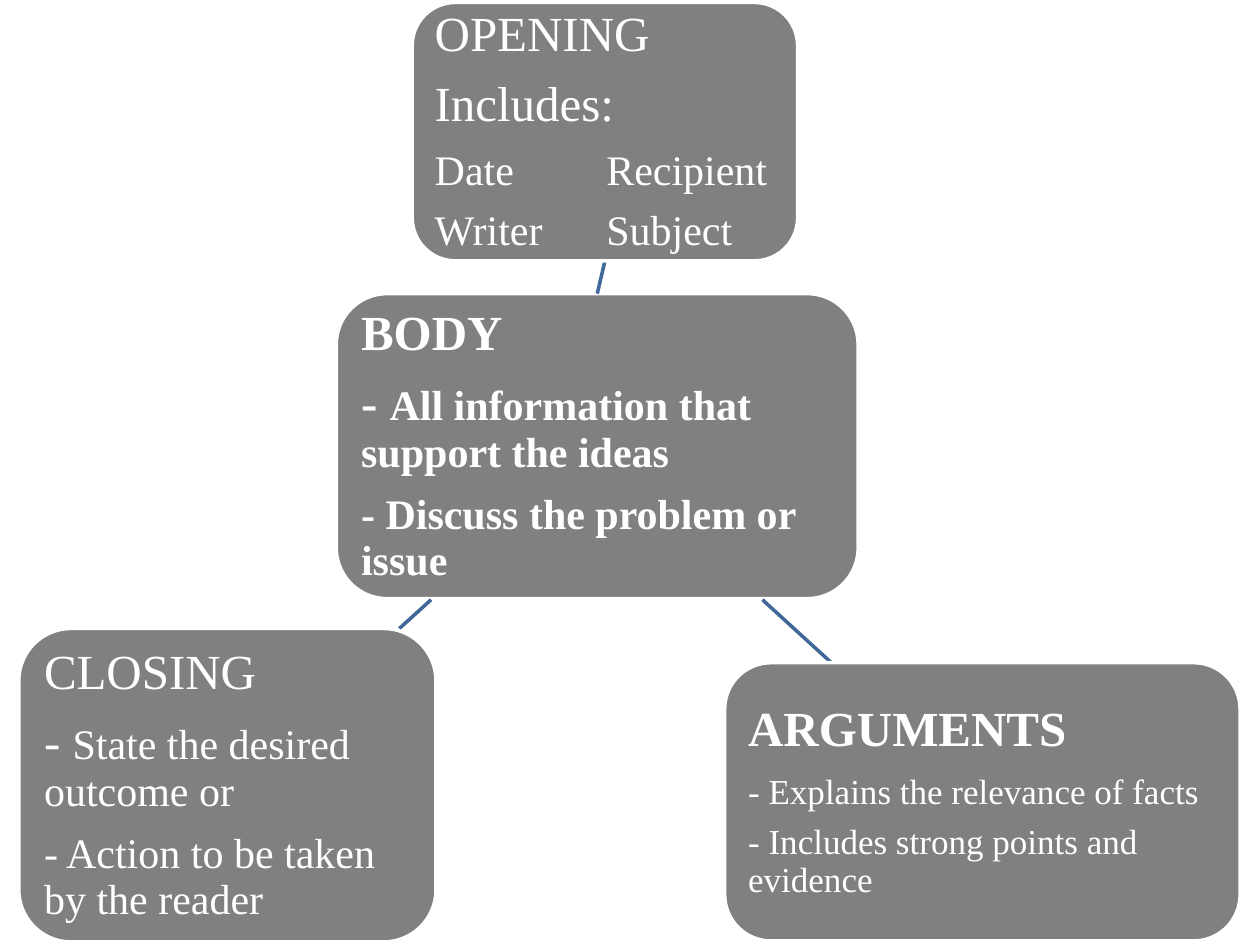
from lxml import etree
from pptx import Presentation
from pptx import util as u
from pptx.dml.color import RGBColor
from pptx.enum import shapes, text
from pptx.oxml.ns import qn

COLORS = {"box": "808080", "edge": "FFFFFF", "words": "FFFFFF", "link": "3F6797"}
FONT = "Times New Roman"
HEADING = 28
TAB_STOP = u.Cm(3.46)


def color(role):
    """Return the colour for a role."""
    return RGBColor.from_string(COLORS[role])


def format_paragraph(paragraph, size, bold):
    """Set font, line spacing, proportional space after and the column tab."""
    font = paragraph.font
    font.name, font.size, font.bold = FONT, u.Pt(size), bold
    font.color.rgb = color("words")
    paragraph.alignment = text.PP_ALIGN.LEFT
    paragraph.line_spacing = 0.9
    paragraph.space_after = u.Pt(0)
    properties = paragraph._p.get_or_add_pPr()
    after = properties.find(qn("a:spcAft"))
    after.clear()
    etree.SubElement(after, qn("a:spcPct"), val="35000")
    if "\t" in paragraph.text:
        tabs = etree.Element(qn("a:tabLst"))
        etree.SubElement(tabs, qn("a:tab"), pos=str(TAB_STOP), algn="l")
        properties.find(qn("a:defRPr")).addprevious(tabs)


def add_part(slide, box, lines):
    """Draw one rounded part of the letter; lines are (runs, size, bold)."""
    part = slide.shapes.add_shape(
        shapes.MSO_SHAPE.ROUNDED_RECTANGLE, *(u.Cm(side) for side in box))
    part.shadow.inherit = False
    part.fill.solid()
    part.fill.fore_color.rgb = color("box")
    part.line.color.rgb = color("edge")
    part.line.width = u.Pt(2)
    frame = part.text_frame
    frame.word_wrap = True
    frame.vertical_anchor = text.MSO_ANCHOR.MIDDLE
    frame.margin_left = frame.margin_right = u.Cm(0.2)
    frame.margin_top = frame.margin_bottom = u.Cm(0.2)
    for index, (words, size, bold) in enumerate(lines):
        paragraph = frame.add_paragraph() if index else frame.paragraphs[0]
        dash, _, rest = words.partition("|")
        paragraph.add_run().text = dash
        if rest:
            paragraph.runs[0].font.size = u.Pt(HEADING)
            paragraph.add_run().text = rest
        format_paragraph(paragraph, size, bold)
    return part


def add_link(slide, ends):
    """Draw a plain line between two points."""
    link = slide.shapes.add_connector(
        shapes.MSO_CONNECTOR.STRAIGHT, *(u.Cm(end) for end in ends))
    link.line.color.rgb = color("link")
    link.line.width = u.Pt(2)
    etree.SubElement(link._element.spPr, qn("a:effectLst"))
    return link


def build_letter_diagram(slide):
    """Place the four parts of the letter and the lines from the body."""
    body = add_part(slide, (6.78, 5.92, 10.52, 6.15), [
        ("BODY", HEADING, True),
        ("- |All information that support the ideas", 24, True),
        ("- Discuss the problem or issue", 24, True)])
    opening_link = add_link(slide, (12.04, 5.92, 12.19, 5.26))
    opening = add_part(slide, (8.31, 0.05, 7.77, 5.21), [
        ("OPENING", HEADING, False),
        ("Includes:", HEADING, False),
        ("Date\tRecipient", 24, False),
        ("Writer\tSubject", 24, False)])
    opening_link.begin_connect(body, 0)
    opening_link.end_connect(opening, 2)
    add_link(slide, (15.37, 12.09, 16.76, 13.36))
    add_part(slide, (14.61, 13.36, 10.39, 5.61), [
        ("ARGUMENTS", HEADING, True),
        ("- Explains the relevance of facts", 20, False),
        ("- Includes strong points and evidence", 20, False)])
    add_link(slide, (8.69, 12.09, 8.05, 12.67))
    add_part(slide, (0.38, 12.67, 8.41, 6.32), [
        ("CLOSING", HEADING, False),
        ("- |State the desired outcome or", 24, False),
        ("- Action to be taken by the reader", 24, False)])


def main():
    """Build and save the one-slide deck."""
    deck = Presentation()
    deck.slide_width, deck.slide_height = u.Cm(25.4), u.Cm(19.05)
    build_letter_diagram(deck.slides.add_slide(deck.slide_layouts[6]))
    deck.save("out.pptx")


if __name__ == "__main__":
    main()
